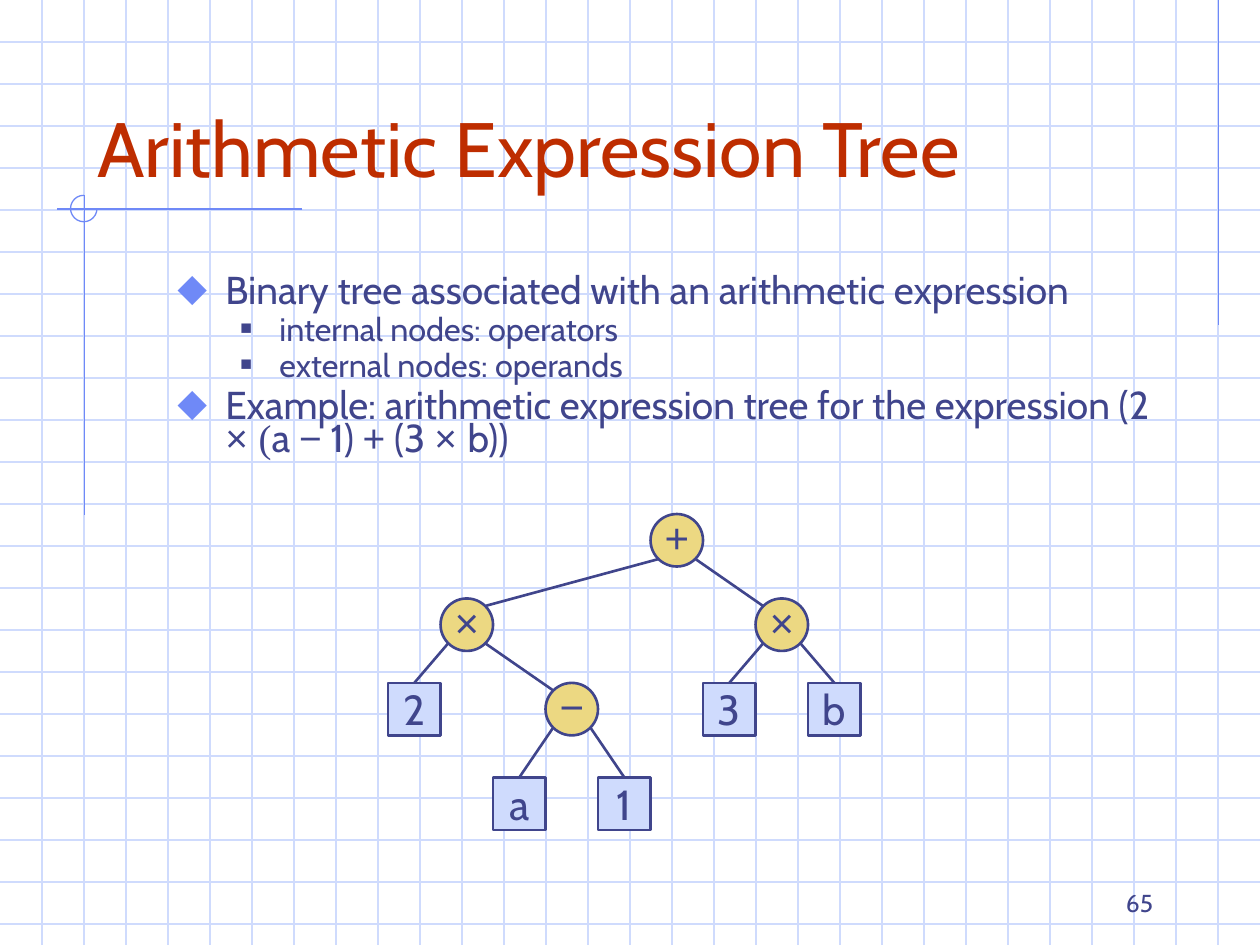
from dataclasses import dataclass
from itertools import count

from lxml import etree
from pptx import Presentation
from pptx.dml.color import RGBColor
from pptx.enum.shapes import MSO_CONNECTOR, MSO_SHAPE
from pptx.enum.text import MSO_ANCHOR, MSO_AUTO_SIZE, PP_ALIGN
from pptx.oxml.ns import qn
from pptx.util import Inches, Pt

STRAIGHT = MSO_CONNECTOR.STRAIGHT
ARC, OVAL, RECTANGLE = MSO_SHAPE.ARC, MSO_SHAPE.OVAL, MSO_SHAPE.RECTANGLE
MIDDLE, BOTTOM = MSO_ANCHOR.MIDDLE, MSO_ANCHOR.BOTTOM
LEFT, CENTER, RIGHT = PP_ALIGN.LEFT, PP_ALIGN.CENTER, PP_ALIGN.RIGHT
NO_AUTOFIT = MSO_AUTO_SIZE.NONE


@dataclass(frozen=True)
class Theme:
    ink: str = "40458C"
    heading: str = "BE2D00"
    accent: str = "6F89F7"
    pale: str = "CFDBFD"
    gold: str = "ECD882"
    text_font: str = "Cabin"
    symbol_font: str = "Arial"
    paren_font: str = "Times New Roman"
    title_size: float = 44
    topic_size: float = 22.2
    detail_size: float = 18.5
    node_size: float = 24
    page_size: float = 14
    thin: float = 0.75
    thick: float = 1.5


@dataclass(frozen=True)
class BulletStyle:
    mark: str
    color: str
    percent: int
    margin: float
    hanging: float
    before: float
    size: float


THEME = Theme()
TOPIC = BulletStyle("⬥", THEME.accent, 110, 0.38, 0.38, 6, THEME.topic_size)
DETAIL = BulletStyle("■", THEME.ink, 60, 0.81, 0.31, 5, THEME.detail_size)

TEXT, SYMBOL, PAREN = THEME.text_font, THEME.symbol_font, THEME.paren_font
OUTLINE = [
    (TOPIC, [("Binary tree associated with an arithmetic expression", TEXT)]),
    (DETAIL, [("internal nodes: operators", TEXT)]),
    (DETAIL, [("external nodes: operands", TEXT)]),
    (TOPIC, [
        ("Example: arithmetic expression tree for the expression (2 ", TEXT),
        ("× ", SYMBOL), ("(", PAREN), ("a ", TEXT), ("−", SYMBOL),
        (" 1) ", TEXT), ("+", SYMBOL), (" (3 ", TEXT), ("× ", SYMBOL),
        ("b))", TEXT),
    ]),
]

EXPRESSION = ("+", ("×", "2", ("−", "a", "1")), ("×", "3", "b"))
TREE_LEFT = 3.08
LEVEL_TOPS = (4.08, 4.75, 5.42, 6.17)
NODE = 5 / 12
RIM = 0.15


def add_run(paragraph, text, size, color=THEME.ink, font=THEME.text_font):
    run = paragraph.add_run()
    run.text = text
    run.font.size = Pt(size)
    run.font.name = font
    run.font.color.rgb = RGBColor.from_string(color)


def add_line(slide, start, end, color, width):
    line = slide.shapes.add_connector(
        STRAIGHT, *(Inches(value) for value in (*start, *end)))
    line.line.color.rgb = RGBColor.from_string(color)
    line.line.width = Pt(width)
    etree.SubElement(line.element.spPr, qn("a:effectLst"))
    return line


def add_background(slide):
    for row in range(1, 23):
        add_line(slide, (0, row / 3), (10, row / 3), THEME.pale, THEME.thin)
    for column in range(1, 30):
        add_line(slide, (column / 3, 0), (column / 3, 7.5), THEME.pale, THEME.thin)
    for start, end in (((9.67, 0), (9.67, 2.58)),
                       ((2.4, 1.66), (0.45, 1.66)),
                       ((0.67, 1.55), (0.67, 4.09))):
        add_line(slide, start, end, THEME.accent, THEME.thin)
    ring = slide.shapes.add_shape(
        ARC, Inches(0.56), Inches(1.55), Inches(0.21), Inches(0.21))
    ring.adjustments[0] = 0
    ring.adjustments[1] = 162
    ring.shadow.inherit = False
    ring.fill.background()
    ring.line.color.rgb = RGBColor.from_string(THEME.accent)
    ring.line.width = Pt(THEME.thin)


def add_title(slide, text):
    title = slide.shapes.title
    title.left, title.top = Inches(0.67), Inches(0.33)
    title.width, title.height = Inches(8.5), Inches(1.25)
    frame = title.text_frame
    frame.auto_size = NO_AUTOFIT
    frame.vertical_anchor = BOTTOM
    paragraph = frame.paragraphs[0]
    paragraph.alignment = LEFT
    add_run(paragraph, text, THEME.title_size, THEME.heading)
    title.element.getparent().append(title.element)


def add_text_box(slide, left, top, width, height):
    frame = slide.shapes.add_textbox(
        Inches(left), Inches(top), Inches(width), Inches(height)).text_frame
    frame.word_wrap = True
    return frame


def set_bullet(paragraph, style):
    properties = paragraph._p.get_or_add_pPr()
    properties.set("marL", str(Inches(style.margin)))
    properties.set("indent", str(-Inches(style.hanging)))
    color = etree.SubElement(properties, qn("a:buClr"))
    etree.SubElement(color, qn("a:srgbClr"), val=style.color)
    etree.SubElement(properties, qn("a:buSzPct"), val=str(style.percent * 1000))
    etree.SubElement(properties, qn("a:buFont"), typeface=THEME.symbol_font)
    etree.SubElement(properties, qn("a:buChar"), char=style.mark)


def add_outline(slide, items):
    frame = add_text_box(slide, 1.31, 2.16, 8.03, 1.89)
    for index, (style, runs) in enumerate(items):
        paragraph = frame.add_paragraph() if index else frame.paragraphs[0]
        set_bullet(paragraph, style)
        paragraph.level = 1 if style is DETAIL else 0
        paragraph.line_spacing = 0.7
        if index:
            paragraph.space_before = Pt(style.before)
        for text, font in runs:
            add_run(paragraph, text, style.size, font=font)


def add_node(slide, label, column, depth, is_operator):
    node = slide.shapes.add_shape(
        OVAL if is_operator else RECTANGLE,
        Inches(TREE_LEFT + column * NODE), Inches(LEVEL_TOPS[depth]),
        Inches(NODE), Inches(NODE))
    node.shadow.inherit = False
    node.fill.solid()
    node.fill.fore_color.rgb = RGBColor.from_string(
        THEME.gold if is_operator else THEME.pale)
    node.line.color.rgb = RGBColor.from_string(THEME.ink)
    node.line.width = Pt(THEME.thick)
    frame = node.text_frame
    frame.word_wrap = False
    frame.vertical_anchor = MIDDLE
    if is_operator:
        frame.margin_left = frame.margin_top = frame.margin_right = 0
    paragraph = frame.paragraphs[0]
    paragraph.alignment = CENTER
    add_run(paragraph, label, THEME.node_size,
            font=THEME.symbol_font if is_operator else THEME.text_font)
    return node


def add_edge(slide, parent, child, side, child_is_operator):
    parent_x, parent_y, child_x, child_y = (
        (start + size / 2) / Inches(1)
        for shape in (parent, child)
        for start, size in ((shape.left, shape.width), (shape.top, shape.height)))
    edge = add_line(slide, (parent_x + side * RIM, parent_y + RIM),
                    (child_x - side * RIM, child_y - RIM), THEME.ink, THEME.thick)
    if not child_is_operator:
        edge.end_connect(child, 0)


def add_tree(slide, expression, columns, depth=0):
    if isinstance(expression, str):
        return add_node(slide, expression, next(columns), depth, False)
    operator, left, right = expression
    left_node = add_tree(slide, left, columns, depth + 1)
    parent = add_node(slide, operator, next(columns), depth, True)
    right_node = add_tree(slide, right, columns, depth + 1)
    add_edge(slide, parent, left_node, -1, isinstance(left, tuple))
    add_edge(slide, parent, right_node, 1, isinstance(right, tuple))
    return parent


def add_page_number(slide, number):
    frame = add_text_box(slide, 7.17, 6.83, 2.08, 0.5)
    frame.vertical_anchor = BOTTOM
    frame.paragraphs[0].alignment = RIGHT
    add_run(frame.paragraphs[0], number, THEME.page_size)


def main():
    deck = Presentation()
    deck.slide_width, deck.slide_height = Inches(10), Inches(7.5)
    slide = deck.slides.add_slide(deck.slide_layouts[5])
    add_background(slide)
    add_title(slide, "Arithmetic Expression Tree")
    add_outline(slide, OUTLINE)
    add_tree(slide, EXPRESSION, count())
    add_page_number(slide, "65")
    deck.save("out.pptx")


if __name__ == "__main__":
    main()
